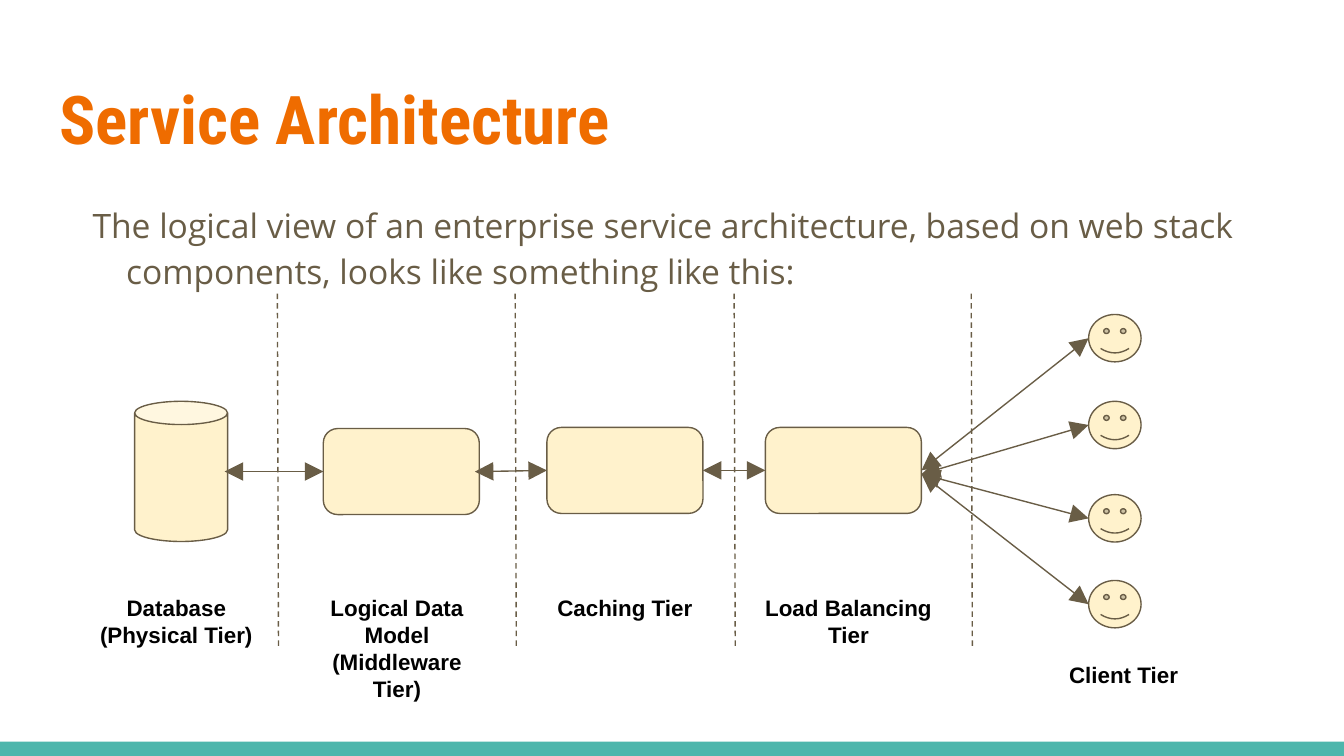
from lxml import etree
from pptx import Presentation
from pptx.dml.color import RGBColor
from pptx.enum.dml import MSO_LINE
from pptx.enum.shapes import MSO_CONNECTOR, MSO_SHAPE
from pptx.enum.text import MSO_ANCHOR, MSO_AUTO_SIZE, PP_ALIGN
from pptx.oxml.ns import qn
from pptx.util import Pt

STRAIGHT = MSO_CONNECTOR.STRAIGHT
DASH = MSO_LINE.DASH
CAN, BOX, FACE, RECTANGLE = (MSO_SHAPE.CAN, MSO_SHAPE.ROUNDED_RECTANGLE,
                             MSO_SHAPE.SMILEY_FACE, MSO_SHAPE.RECTANGLE)
TOP, MIDDLE = MSO_ANCHOR.TOP, MSO_ANCHOR.MIDDLE
LEFT, CENTER = PP_ALIGN.LEFT, PP_ALIGN.CENTER
NO_AUTOFIT = MSO_AUTO_SIZE.NONE

ORANGE = RGBColor(0xEF, 0x6C, 0x00)
BROWN = RGBColor(0x69, 0x5D, 0x46)
CREAM = RGBColor(0xFF, 0xF2, 0xCC)
TEAL = RGBColor(0x4D, 0xB6, 0xAC)
BLACK = RGBColor(0, 0, 0)

TITLE_FONT = {"name": "Roboto Condensed", "size": Pt(36), "bold": True}
BODY_FONT = {"name": "Open Sans", "size": Pt(18), "bold": False}
LABEL_FONT = {"name": "Arial", "size": Pt(12), "bold": True}

INSET = 7.2
LINE_WIDTH = 0.75
BOX_SIZE = (83.6, 46.1)
FACE_SIZE = (28.1, 25.4)
FACE_LEFT = 583.2
FACE_TOPS = (168.5, 215, 265, 311)
DIVIDER_LEFTS = (148.6, 276, 393.3, 520.3)
LABELS = (
    ("Database (Physical Tier)", 40.5, 311.2),
    ("Logical Data Model (Middleware Tier)", 158.7, 311.2),
    ("Caching Tier", 280.8, 311.2),
    ("Load Balancing Tier", 400.6, 311.2),
    ("Client Tier", 548, 347),
)


def set_attributes(target, values):
    for name, value in values.items():
        setattr(target, name, value)


def write_text(shape, text, font, color, alignment=LEFT, anchor=TOP):
    frame = shape.text_frame
    set_attributes(frame, {
        "word_wrap": True, "auto_size": NO_AUTOFIT, "vertical_anchor": anchor,
        "margin_left": Pt(INSET), "margin_right": Pt(INSET),
        "margin_top": Pt(INSET), "margin_bottom": Pt(INSET),
    })
    paragraph = frame.paragraphs[0]
    paragraph.alignment = alignment
    run = paragraph.add_run()
    run.text = text
    set_attributes(run.font, font)
    run.font.color.rgb = color
    return paragraph


def add_title(slide, text):
    title = slide.shapes.title
    set_attributes(title, {"left": Pt(24.5), "top": Pt(35.3),
                           "width": Pt(671), "height": Pt(55.4)})
    write_text(title, text, TITLE_FONT, ORANGE, anchor=MIDDLE)


def add_introduction(slide, text):
    """Add the body sentence with a hanging second line."""
    box = slide.shapes.add_textbox(Pt(24.5), Pt(99.4), Pt(671), Pt(260))
    paragraph = write_text(box, text, BODY_FONT, BROWN)
    set_attributes(paragraph, {"line_spacing": 1.15, "space_after": Pt(16)})
    properties = paragraph._p.get_or_add_pPr()
    properties.set("marL", str(Pt(36)))
    properties.set("indent", str(Pt(-18)))


def add_label(slide, text, left, top):
    box = slide.shapes.add_textbox(Pt(left), Pt(top), Pt(108), Pt(25.2))
    write_text(box, text, LABEL_FONT, BLACK, CENTER)


def add_node(slide, kind, left, top, size, fill=CREAM, outline=BROWN):
    width, height = size
    shape = slide.shapes.add_shape(kind, Pt(left), Pt(top), Pt(width), Pt(height))
    shape.shadow.inherit = False
    shape.fill.solid()
    shape.fill.fore_color.rgb = fill
    if outline is None:
        shape.line.fill.background()
    else:
        shape.line.color.rgb = outline
        shape.line.width = Pt(LINE_WIDTH)


def add_line(slide, start, end):
    connector = slide.shapes.add_connector(
        STRAIGHT, *(Pt(value) for value in start + end))
    connector.line.color.rgb = BROWN
    connector.line.width = Pt(LINE_WIDTH)
    etree.SubElement(connector._element.spPr, qn("a:effectLst"))
    return connector


def add_double_arrow(slide, start, end):
    connector = add_line(slide, start, end)
    outline = connector._element.spPr.find(qn("a:ln"))
    for end_name in ("a:headEnd", "a:tailEnd"):
        etree.SubElement(outline, qn(end_name), type="triangle", w="lg", len="lg")


def main():
    presentation = Presentation()
    presentation.slide_width, presentation.slide_height = Pt(720), Pt(405)
    slide = presentation.slides.add_slide(presentation.slide_layouts[5])

    add_node(slide, RECTANGLE, 0, 397.4, (720, 7.6), TEAL, None)
    add_title(slide, "Service Architecture")
    add_introduction(slide, "The logical view of an enterprise service architecture, "
                            "based on web stack components, looks like something like this:")

    add_node(slide, CAN, 72.1, 215, (49.8, 75.1))
    for left, top in ((173.2, 229.6), (293, 229), (410, 229)):
        add_node(slide, BOX, left, top, BOX_SIZE)
    for top in FACE_TOPS:
        add_node(slide, FACE, FACE_LEFT, top, FACE_SIZE)

    for left in DIVIDER_LEFTS:
        divider = add_line(slide, (left, 157.3), (left + 0.6, 346.8))
        divider.line.dash_style = DASH
    for label in LABELS:
        add_label(slide, *label)

    for top, start_top in zip(FACE_TOPS, (252, 254, 254, 254)):
        add_double_arrow(slide, (493.7, start_top),
                         (FACE_LEFT, top + FACE_SIZE[1] / 2))
    for start, end in (((376.6, 252), (410, 252)),
                       ((254.4, 252.7), (293, 252)),
                       ((120.4, 252.6), (173.2, 252.6))):
        add_double_arrow(slide, start, end)

    presentation.save("out.pptx")


if __name__ == "__main__":
    main()
